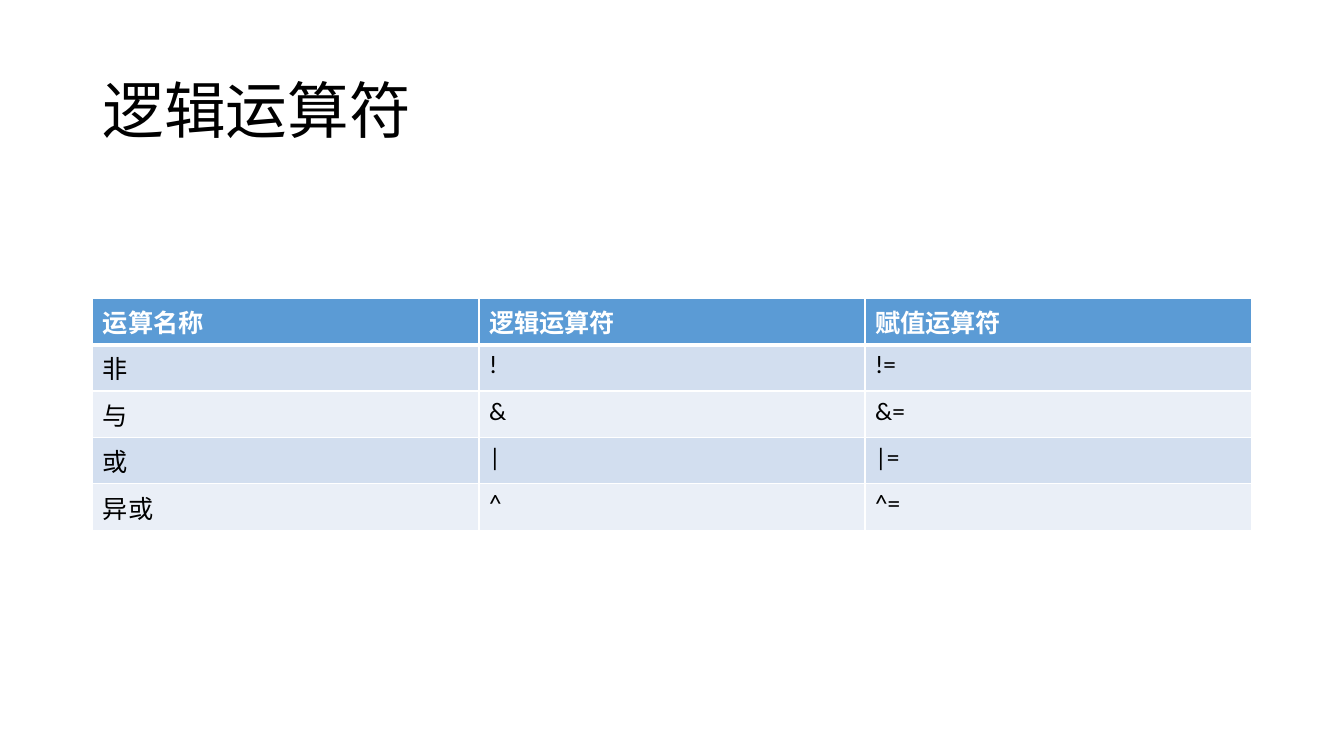
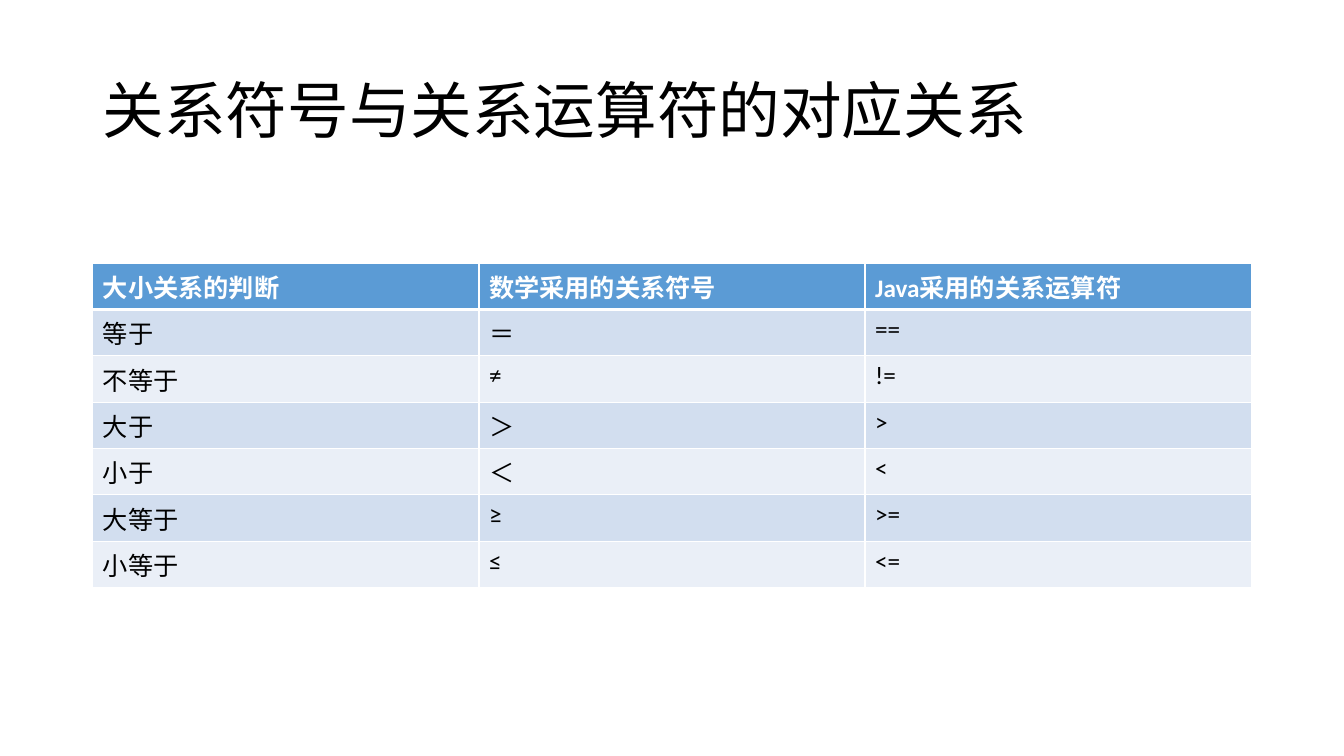
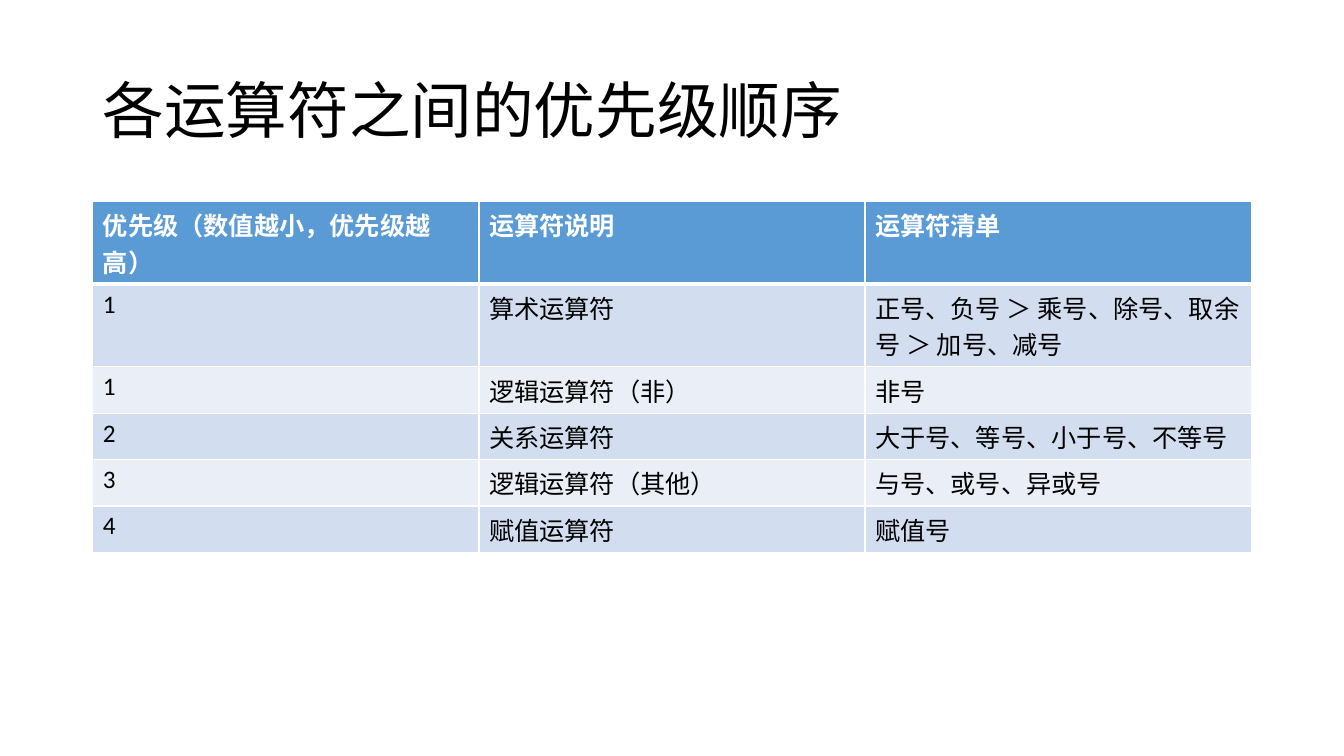
from lxml.etree import SubElement
from pptx import Presentation
from pptx.dml.color import RGBColor
from pptx.enum.text import MSO_ANCHOR
from pptx.oxml.ns import qn
from pptx.util import Inches, Pt

BLACK = RGBColor(0x00, 0x00, 0x00)
WHITE = RGBColor(0xFF, 0xFF, 0xFF)
HEADER_BLUE = RGBColor(0x5B, 0x9B, 0xD5)
BAND_DARK = RGBColor(0xD2, 0xDE, 0xEF)
BAND_LIGHT = RGBColor(0xEA, 0xEF, 0xF7)


class OperatorDeck:
    """Slides that each pair a title with a banded table."""

    font = "Calibri"
    left, width = Inches(0.92), Inches(11.49)
    one_line, two_lines = Inches(0.46), Inches(0.82)
    thin, thick = Pt(1), Pt(3)

    def __init__(self):
        self.deck = Presentation()
        self.deck.slide_width = Inches(13.33)
        self.deck.slide_height = Inches(7.5)
        self.slide = None

    def add_slide(self, title):
        self.slide = self.deck.slides.add_slide(self.deck.slide_layouts[6])
        box = self.slide.shapes.add_textbox(self.left, Inches(0.4), self.width, Inches(1.45))
        frame = box.text_frame
        frame.word_wrap = True
        frame.vertical_anchor = MSO_ANCHOR.MIDDLE
        para = frame.paragraphs[0]
        para.line_spacing = 0.9
        self.add_text(para, title, 44, BLACK)

    def add_text(self, para, text, size, color, bold=False):
        span = para.add_run()
        span.text = text
        span.font.name = self.font
        span.font.size = Pt(size)
        span.font.bold = bold
        span.font.color.rgb = color

    def add_borders(self, cell, top, bottom):
        properties = cell._tc.get_or_add_tcPr()
        sides = {"L": self.thin, "R": self.thin, "T": top, "B": bottom}
        for side, width in sides.items():
            line = SubElement(properties, qn(f"a:ln{side}"), w=str(width))
            fill = SubElement(line, qn("a:solidFill"))
            SubElement(fill, qn("a:srgbClr"), val=str(WHITE))

    def add_table(self, top, rows, wrapped_rows):
        heights = [
            self.two_lines if index in wrapped_rows else self.one_line
            for index in range(len(rows))
        ]
        table = self.slide.shapes.add_table(
            len(rows), len(rows[0]), self.left, Inches(top), self.width, sum(heights)
        ).table
        for row_index, texts in enumerate(rows):
            table.rows[row_index].height = heights[row_index]
            header = row_index == 0
            band = HEADER_BLUE if header else BAND_DARK if row_index % 2 else BAND_LIGHT
            upper = self.thick if row_index == 1 else self.thin
            lower = self.thick if header else self.thin
            for column_index, text in enumerate(texts):
                cell = table.cell(row_index, column_index)
                self.add_borders(cell, upper, lower)
                cell.fill.solid()
                cell.fill.fore_color.rgb = band
                para = cell.text_frame.paragraphs[0]
                self.add_text(para, text, 18, WHITE if header else BLACK, header)

    def save(self):
        self.deck.save("out.pptx")


LOGIC = [
    ("运算名称", "逻辑运算符", "赋值运算符"),
    ("非", "!", "!="),
    ("与", "&", "&="),
    ("或", "|", "|="),
    ("异或", "^", "^="),
]
RELATIONS = [
    ("大小关系的判断", "数学采用的关系符号", "Java采用的关系运算符"),
    ("等于", "＝", "=="),
    ("不等于", "≠", "!="),
    ("大于", "＞", ">"),
    ("小于", "＜", "<"),
    ("大等于", "≥", ">="),
    ("小等于", "≤", "<="),
]
PRIORITIES = [
    ("优先级（数值越小，优先级越高）", "运算符说明", "运算符清单"),
    ("1", "算术运算符", "正号、负号 ＞ 乘号、除号、取余号 ＞ 加号、减号"),
    ("1", "逻辑运算符（非）", "非号"),
    ("2", "关系运算符", "大于号、等号、小于号、不等号"),
    ("3", "逻辑运算符（其他）", "与号、或号、异或号"),
    ("4", "赋值运算符", "赋值号"),
]

operators = OperatorDeck()
for title, top, rows, wrapped_rows in (
    ("逻辑运算符", 2.96, LOGIC, ()),
    ("关系符号与关系运算符的对应关系", 2.61, RELATIONS, ()),
    ("各运算符之间的优先级顺序", 2, PRIORITIES, (0, 1)),
):
    operators.add_slide(title)
    operators.add_table(top, rows, wrapped_rows)
operators.save()
